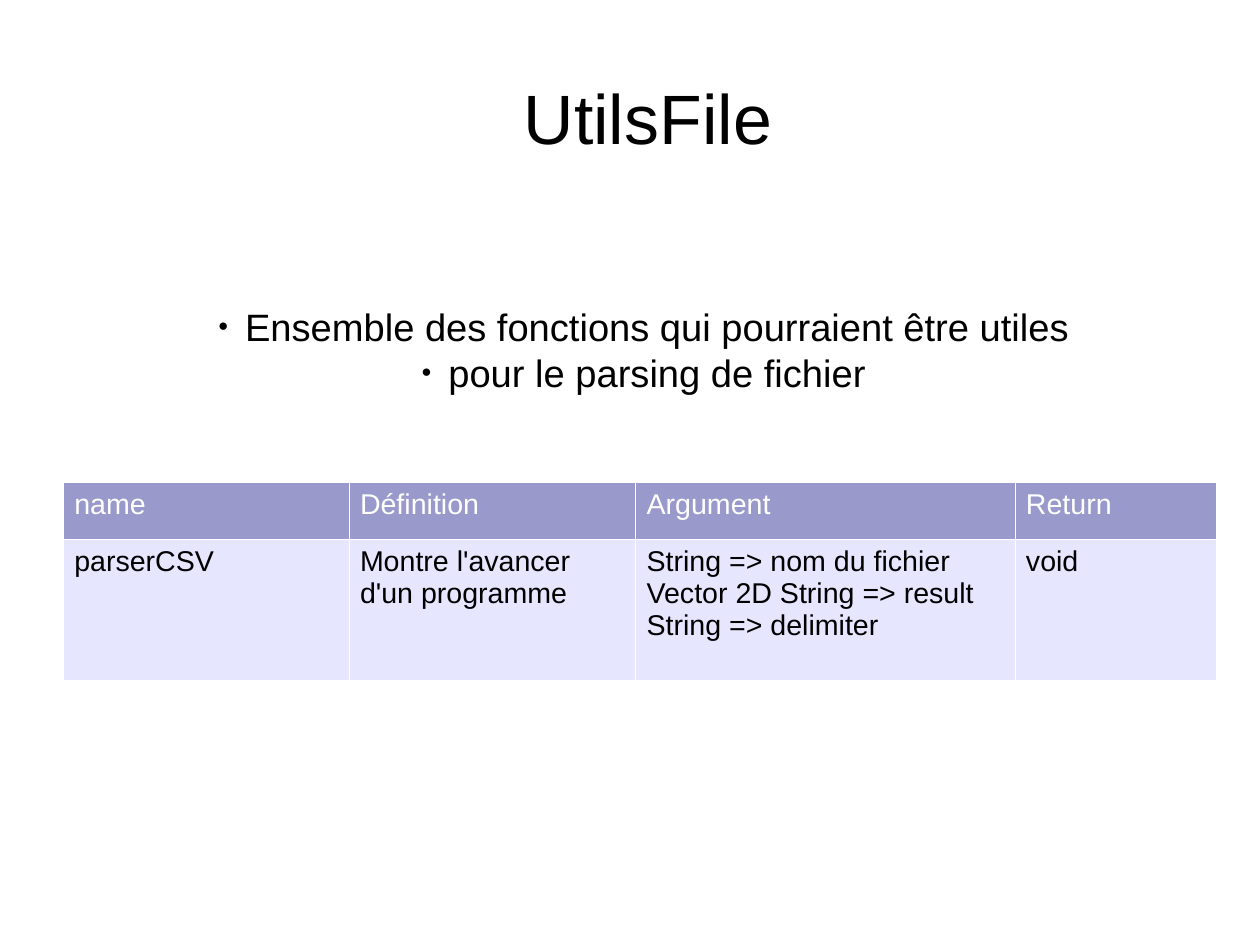
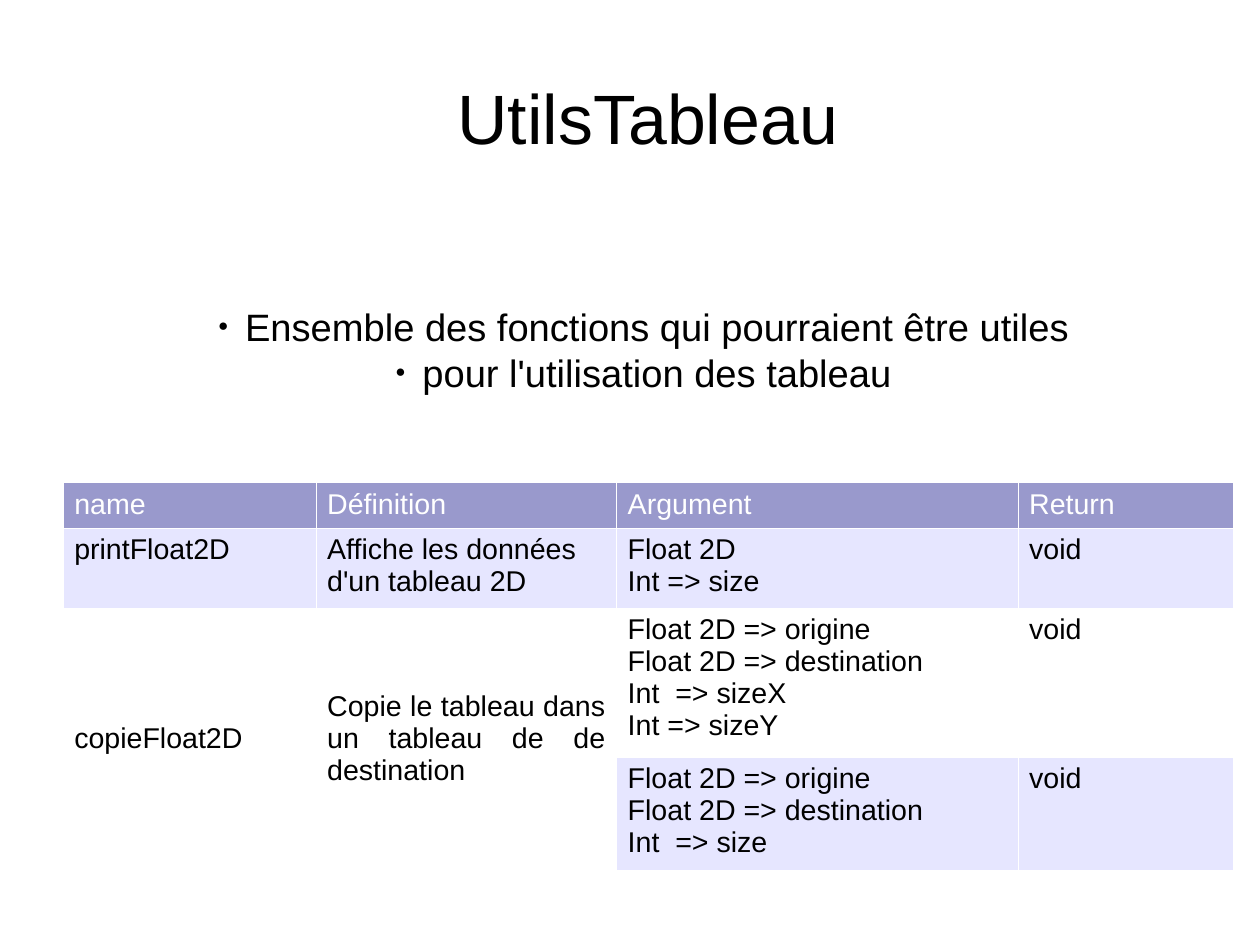
import dataclasses

import pptx
import pptx.dml.color
import pptx.enum.text
import pptx.oxml.ns
import pptx.util
from lxml import etree

Cm = pptx.util.Cm
Pt = pptx.util.Pt
Align = pptx.enum.text.PP_ALIGN
Anchor = pptx.enum.text.MSO_ANCHOR
qn = pptx.oxml.ns.qn


@dataclasses.dataclass(frozen=True)
class Theme:
    font: str = "Arial"
    title_size: int = 44
    list_size: int = 24
    list_leading: int = 29
    table_size: int = 18
    text: str = "000000"
    header_text: str = "FFFFFF"
    header_fill: str = "9999CC"
    band_fill: str = "E6E6FF"
    plain_fill: str = "FFFFFF"
    border: str = "FFFFFF"
    border_width: float = 0.06


THEME = Theme()
TITLE_BOX = (1.4, 0.84, 26, 3.5)
LIST_BOX = (4.4, 6.6, 19.8, 2.16)
TABLE_CORNER = (1.4, 10.72)
PADDING = (0.25, 0.13, 0.25, 0.13)
HEADERS = ("name", "Définition", "Argument", "Return")
INTRO = "Ensemble des fonctions qui pourraient être utiles"

# A cell holds one text per paragraph; None continues the cell above.
SLIDES = [
    {
        "title": "UtilsFile",
        "list": [INTRO, "pour le parsing de fichier"],
        "columns": (6.35, 6.37, 8.43, 4.48),
        "heights": (1.27, 3.13),
        "rows": [
            (["parserCSV"], ["Montre l'avancer d'un programme"],
             ["String => nom du fichier", "Vector 2D String => result",
              "String => delimiter"], ["void"]),
        ],
    },
    {
        "title": "UtilsTableau",
        "list": [INTRO, "pour l'utilisation des tableau"],
        "columns": (5.62, 6.68, 8.92, 4.78),
        "heights": (1.01, 1.78, 3.31, 2.51),
        "rows": [
            (["printFloat2D"], ["Affiche les données d'un tableau 2D"],
             ["Float 2D", "Int => size"], ["void"]),
            (["copieFloat2D"],
             ["Copie le tableau dans un tableau de de destination"],
             ["Float 2D => origine", "Float 2D => destination",
              "Int  => sizeX", "Int => sizeY"], ["void"]),
            (None, None,
             ["Float 2D => origine", "Float 2D => destination",
              "Int  => size"], ["void"]),
        ],
    },
]


def rgb(color):
    return pptx.dml.color.RGBColor.from_string(color)


def place(shape, box):
    shape.left, shape.top, shape.width, shape.height = map(Cm, box)


def set_margins(target, margins):
    (target.margin_left, target.margin_top,
     target.margin_right, target.margin_bottom) = map(Cm, margins)


def write(text_frame, lines, size, color, alignment):
    """Write one paragraph per line and return the paragraphs."""
    for index, line in enumerate(lines):
        paragraph = text_frame.add_paragraph() if index else text_frame.paragraphs[0]
        paragraph.alignment = alignment
        run = paragraph.add_run()
        run.text = line
        run.font.name = THEME.font
        run.font.size = Pt(size)
        run.font.color.rgb = rgb(color)
    return text_frame.paragraphs


def add_bullet(paragraph):
    properties = paragraph._p.get_or_add_pPr()
    properties.set("marL", str(Cm(0.6)))
    properties.set("indent", str(-Cm(0.6)))
    color = etree.SubElement(properties, qn("a:buClr"))
    etree.SubElement(color, qn("a:srgbClr"), val=THEME.text)
    etree.SubElement(properties, qn("a:buSzPct"), val="45000")
    etree.SubElement(properties, qn("a:buFont"), typeface=THEME.font)
    etree.SubElement(properties, qn("a:buChar"), char="●")


def add_borders(cell):
    properties = cell._tc.get_or_add_tcPr()
    for index, side in enumerate(("lnL", "lnR", "lnT", "lnB")):
        line = etree.Element(qn(f"a:{side}"), w=str(Pt(THEME.border_width)))
        fill = etree.SubElement(line, qn("a:solidFill"))
        etree.SubElement(fill, qn("a:srgbClr"), val=THEME.border)
        properties.insert(index, line)


def fill_title(shape, title):
    place(shape, TITLE_BOX)
    frame = shape.text_frame
    set_margins(frame, (0, 0, 0, 0))
    frame.vertical_anchor = Anchor.MIDDLE
    write(frame, [title], THEME.title_size, THEME.text, Align.CENTER)


def fill_list(shape, lines):
    place(shape, LIST_BOX)
    frame = shape.text_frame
    frame.word_wrap = True
    frame.auto_size = pptx.enum.text.MSO_AUTO_SIZE.NONE
    frame.vertical_anchor = Anchor.TOP
    set_margins(frame, PADDING)
    for paragraph in write(frame, lines, THEME.list_size, THEME.text, Align.CENTER):
        paragraph.line_spacing = Pt(THEME.list_leading)
        paragraph.space_before = paragraph.space_after = Pt(0)
        add_bullet(paragraph)


def row_colors(row):
    """Return the fill and text colours of a table row."""
    if row == 0:
        return THEME.header_fill, THEME.header_text
    return (THEME.band_fill if row % 2 else THEME.plain_fill), THEME.text


def add_function_table(slide, content):
    rows = [tuple([header] for header in HEADERS), *content["rows"]]
    columns, heights = content["columns"], content["heights"]
    box = (*TABLE_CORNER, sum(columns), sum(heights))
    table = slide.shapes.add_table(len(rows), len(columns), *map(Cm, box)).table
    table.horz_banding = False
    for column, width in zip(table.columns, columns):
        column.width = Cm(width)
    for row, height in zip(table.rows, heights):
        row.height = Cm(height)

    for row_index, row in enumerate(rows):
        fill, color = row_colors(row_index)
        for column_index, lines in enumerate(row):
            cell = table.cell(row_index, column_index)
            set_margins(cell, PADDING)
            cell.fill.solid()
            cell.fill.fore_color.rgb = rgb(fill)
            add_borders(cell)
            if lines is None:
                above = table.cell(row_index - 1, column_index)
                above.merge(cell)
                above.vertical_anchor = Anchor.MIDDLE
                above.text_frame.paragraphs[0].alignment = Align.JUSTIFY
            else:
                write(cell.text_frame, lines, THEME.table_size, color, Align.LEFT)


def main():
    presentation = pptx.Presentation()
    presentation.slide_width, presentation.slide_height = Cm(28), Cm(21)
    layout = presentation.slide_layouts.get_by_name("Title and Content")
    for content in SLIDES:
        slide = presentation.slides.add_slide(layout)
        fill_title(slide.shapes.title, content["title"])
        fill_list(slide.placeholders[1], content["list"])
        add_function_table(slide, content)
    presentation.save("out.pptx")


if __name__ == "__main__":
    main()
